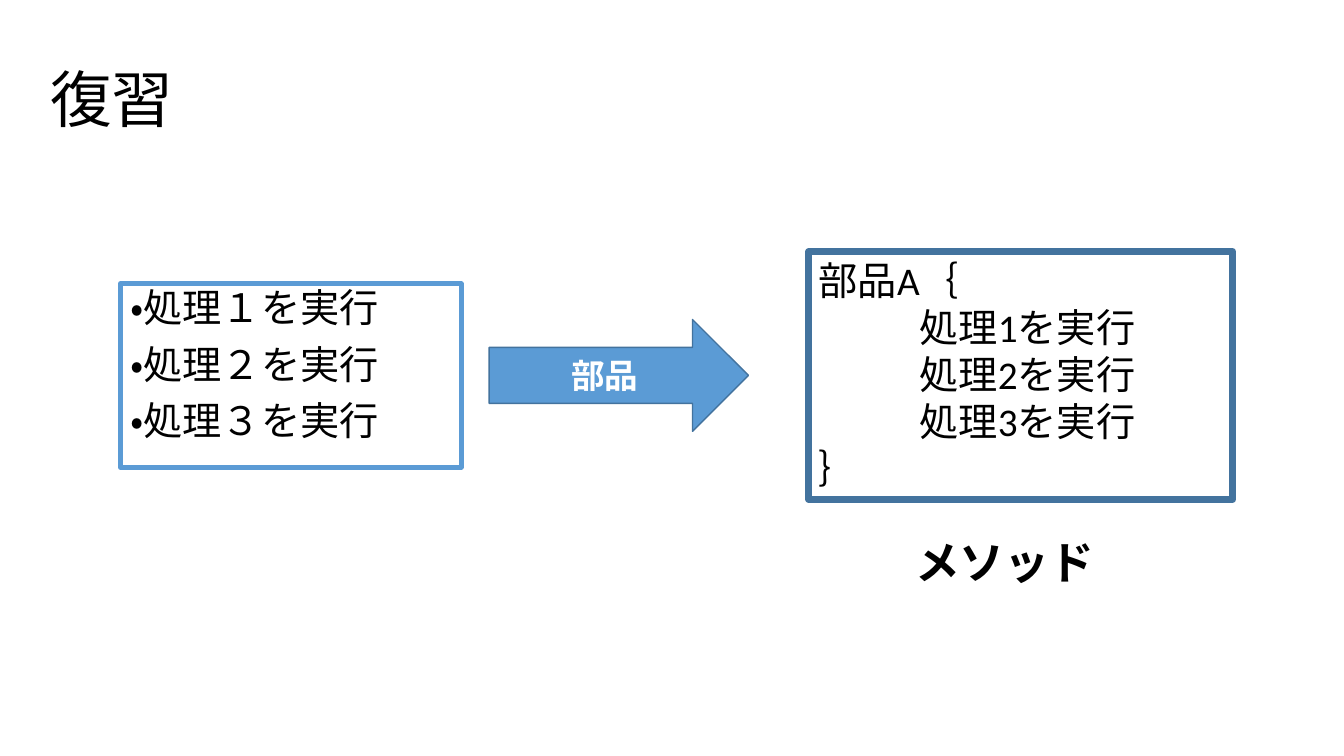
"""Build the review slide that turns a list of steps into a method."""
from dataclasses import dataclass
from typing import Optional

from pptx import Presentation
from pptx.dml.color import RGBColor
from pptx.enum.lang import MSO_LANGUAGE_ID
from pptx.enum.shapes import MSO_SHAPE
from pptx.enum.text import MSO_ANCHOR, PP_ALIGN
from pptx.util import Pt

RECTANGLE = MSO_SHAPE.RECTANGLE
RIGHT_ARROW = MSO_SHAPE.RIGHT_ARROW
TOP, MIDDLE = MSO_ANCHOR.TOP, MSO_ANCHOR.MIDDLE
LEFT, CENTER = PP_ALIGN.LEFT, PP_ALIGN.CENTER
JAPANESE = MSO_LANGUAGE_ID.JAPANESE

BLACK, WHITE = "000000", "FFFFFF"
BLUE, DARK_BLUE = "5B9BD5", "43739E"
TAB_WIDTH = Pt(72)


@dataclass(frozen=True)
class TextStyle:
    size: float
    font: str = "Calibri"
    color: str = BLACK
    bold: bool = False
    align: PP_ALIGN = LEFT
    anchor: MSO_ANCHOR = TOP
    line_spacing: float = 1.0
    space_before: float = 0


@dataclass(frozen=True)
class Block:
    left: float
    top: float
    width: float
    height: float
    text: str
    style: TextStyle
    preset: Optional[MSO_SHAPE] = None
    fill: Optional[str] = None
    line: str = DARK_BLUE
    line_width: float = 1


BLOCKS = [
    Block(28.8, 20.9, 828, 104.4, "復習",
          TextStyle(44, font="Cambria", anchor=MIDDLE, line_spacing=0.9)),
    Block(86, 202.8, 243.4, 131, "・処理１を実行\n・処理２を実行\n・処理３を実行",
          TextStyle(28, line_spacing=0.9, space_before=10),
          RECTANGLE, line=BLUE, line_width=3.5),
    Block(577.8, 179.7, 302.6, 177.1,
          "部品A｛\n\t処理1を実行\n\t処理2を実行\n\t処理3を実行\n｝",
          TextStyle(28), RECTANGLE, line_width=5),
    Block(349.4, 228.2, 185.2, 79.9, "部品",
          TextStyle(24, color=WHITE, bold=True, align=CENTER, anchor=MIDDLE),
          RIGHT_ARROW, fill=BLUE),
    Block(646.6, 378.7, 219.6, 46.1, "メソッド", TextStyle(32, bold=True)),
]


def rgb(value: str) -> RGBColor:
    return RGBColor.from_string(value)


def write_text(frame, text: str, style: TextStyle) -> None:
    frame.text = text
    frame.word_wrap = True
    frame.vertical_anchor = style.anchor
    for para in frame.paragraphs:
        para.alignment = style.align
        para.line_spacing = style.line_spacing
        para.space_before = Pt(style.space_before)
        para._p.get_or_add_pPr().set("defTabSz", str(int(TAB_WIDTH)))
        for span in para.runs:
            span.font.name = style.font
            span.font.size = Pt(style.size)
            span.font.bold = style.bold
            span.font.color.rgb = rgb(style.color)
            span.font.language_id = JAPANESE


def draw_block(page, block: Block) -> None:
    bounds = [Pt(n) for n in (block.left, block.top, block.width, block.height)]
    if block.preset is None:
        box = page.shapes.add_textbox(*bounds)
    else:
        box = page.shapes.add_shape(block.preset, *bounds)
        box.shadow.inherit = False
        box.line.color.rgb = rgb(block.line)
        box.line.width = Pt(block.line_width)
        if block.fill is None:
            box.fill.background()
        else:
            box.fill.solid()
            box.fill.fore_color.rgb = rgb(block.fill)
    write_text(box.text_frame, block.text, block.style)


def main() -> None:
    deck = Presentation()
    deck.slide_width, deck.slide_height = Pt(960), Pt(540)
    page = deck.slides.add_slide(deck.slide_layouts[6])
    for block in BLOCKS:
        draw_block(page, block)
    deck.save("out.pptx")


if __name__ == "__main__":
    main()
